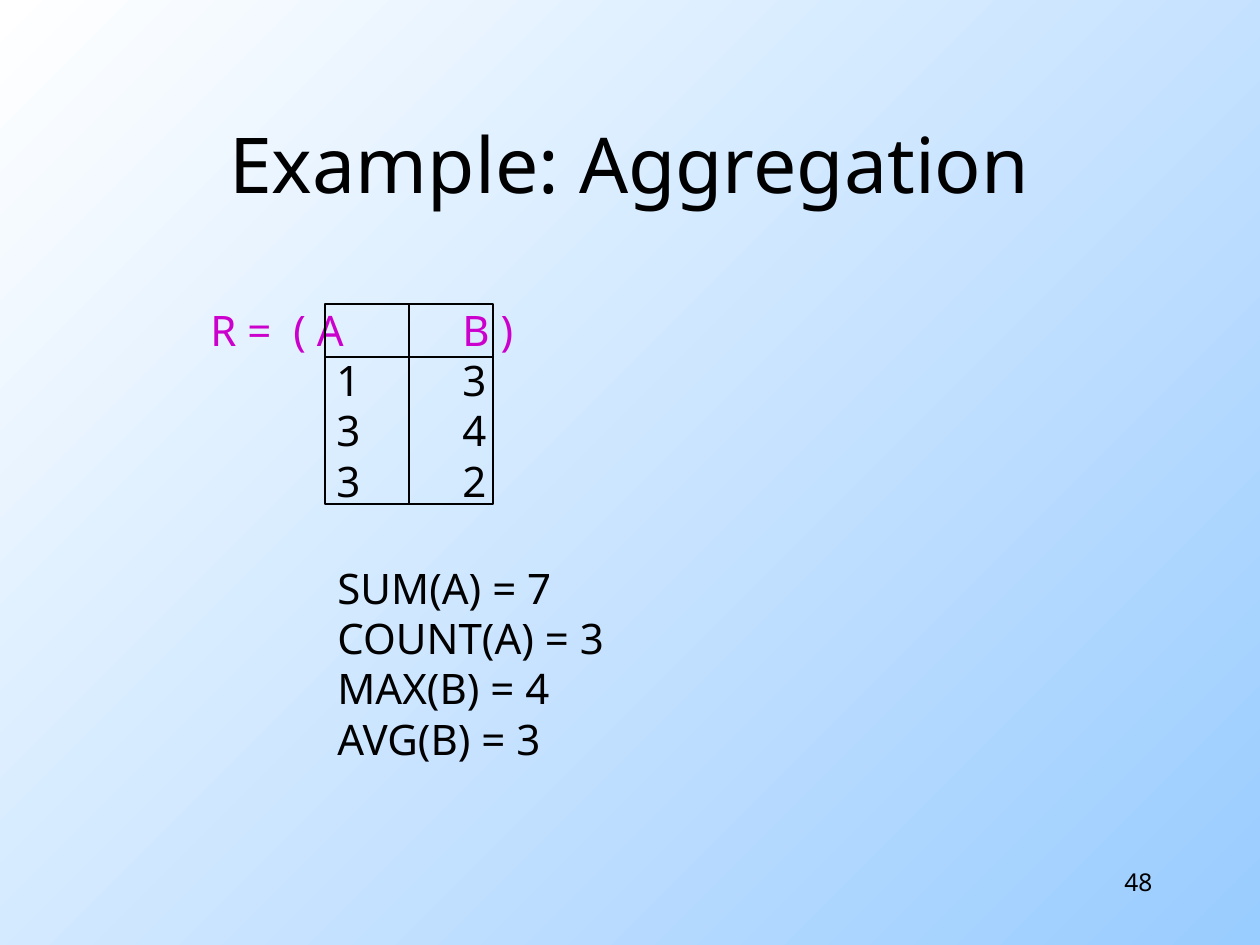
"""Build the aggregation example slide."""
from pptx import Presentation
from pptx.dml.color import RGBColor
from pptx.enum.shapes import MSO_CONNECTOR as Connector, MSO_SHAPE as Shape
from pptx.enum.text import MSO_ANCHOR as Anchor, PP_ALIGN as Align
from pptx.oxml.ns import qn
from pptx.util import Pt

EMU_PER_PIXEL = 914400 / 126
BLACK = RGBColor(0x00, 0x00, 0x00)
WHITE = RGBColor(0xFF, 0xFF, 0xFF)
SKY = RGBColor(0x99, 0xCC, 0xFF)
MAGENTA = RGBColor(0xCC, 0x00, 0xCC)


def px(*lengths):
    """Turn pixels into EMU."""
    return [round(length * EMU_PER_PIXEL) for length in lengths]


def add_child(parent, tag, **attributes):
    """Append an XML element and return it."""
    child = parent.makeelement(qn(tag), attributes)
    parent.append(child)
    return child


def write(paragraph, text, font="Noto Sans", size=24, color=BLACK,
          align=Align.LEFT, spacing=None, tabs=()):
    """Fill a paragraph with formatted text."""
    paragraph.alignment = align
    if spacing:
        paragraph.line_spacing = Pt(spacing)
    if tabs:
        stops = add_child(paragraph._p.get_or_add_pPr(), "a:tabLst")
        for position in px(*tabs):
            add_child(stops, "a:tab", pos=str(position), algn="l")
    run = paragraph.add_run()
    run.text = text
    run.font.name = font
    run.font.size = Pt(size)
    run.font.color.rgb = color


class SlideBuilder:
    """Hold the line style and the current slide."""

    def __init__(self, slide, line_color=BLACK, line_width=0.75):
        """Keep the slide and its line style."""
        self.slide = slide
        self.line_color = line_color
        self.line_width = Pt(line_width)

    def background(self, start, end):
        """Paint a diagonal gradient from the top left."""
        fill = self.slide.background.fill
        fill.gradient()
        fill.gradient_angle = 315
        for stop, color, position in zip(fill.gradient_stops, (start, end), (0, 1)):
            stop.color.rgb = color
            stop.position = position

    def text(self, box, lines, anchor=Anchor.TOP, first_color=BLACK, **style):
        """Add a text box with one paragraph per line."""
        frame = self.slide.shapes.add_textbox(*px(*box)).text_frame
        frame.word_wrap = True
        frame.vertical_anchor = anchor
        for index, line in enumerate(lines):
            paragraph = frame.add_paragraph() if index else frame.paragraphs[0]
            write(paragraph, line, color=BLACK if index else first_color, **style)

    def stroke(self, shape):
        """Apply the line style."""
        shape.line.color.rgb = self.line_color
        shape.line.width = self.line_width

    def frame(self, box):
        """Add an unfilled rectangle."""
        shape = self.slide.shapes.add_shape(Shape.RECTANGLE, *px(*box))
        shape.shadow.inherit = False
        shape.fill.background()
        self.stroke(shape)

    def line(self, *ends):
        """Add a straight line."""
        connector = self.slide.shapes.add_connector(Connector.STRAIGHT, *px(*ends))
        self.stroke(connector)
        add_child(connector._element.spPr, "a:effectLst")


def main():
    """Build and save the slide."""
    presentation = Presentation()
    presentation.slide_width, presentation.slide_height = px(1260, 945)
    builder = SlideBuilder(presentation.slides.add_slide(presentation.slide_layouts[6]))
    builder.background(WHITE, SKY)
    builder.text((903, 861, 262, 63), ["48"], size=14, align=Align.RIGHT)
    builder.text((94, 84, 1071, 158), ["Example: Aggregation"],
                 anchor=Anchor.MIDDLE, size=44, align=Align.CENTER)

    rows = [(1, 3), (3, 4), (3, 2)]
    relation = ["R =  ( A\tB )"] + [f"\t{a}\t{b}" for a, b in rows]
    builder.text((198, 298, 331, 214), relation, first_color=MAGENTA,
                 spacing=28.8, tabs=(126, 252))

    left, top, width, height = table = (325, 304, 168, 200)
    header_bottom, middle = top + 53, left + width // 2
    builder.frame(table)
    builder.line(left, header_bottom, left + width, header_bottom)
    builder.line(middle, top, middle, top + height)

    results = ["SUM(A) = 7", "COUNT(A) = 3", "MAX(B) = 4", "AVG(B) = 3"]
    builder.text((325, 556, 297, 214), results, spacing=28.8)
    presentation.save("out.pptx")


main()
